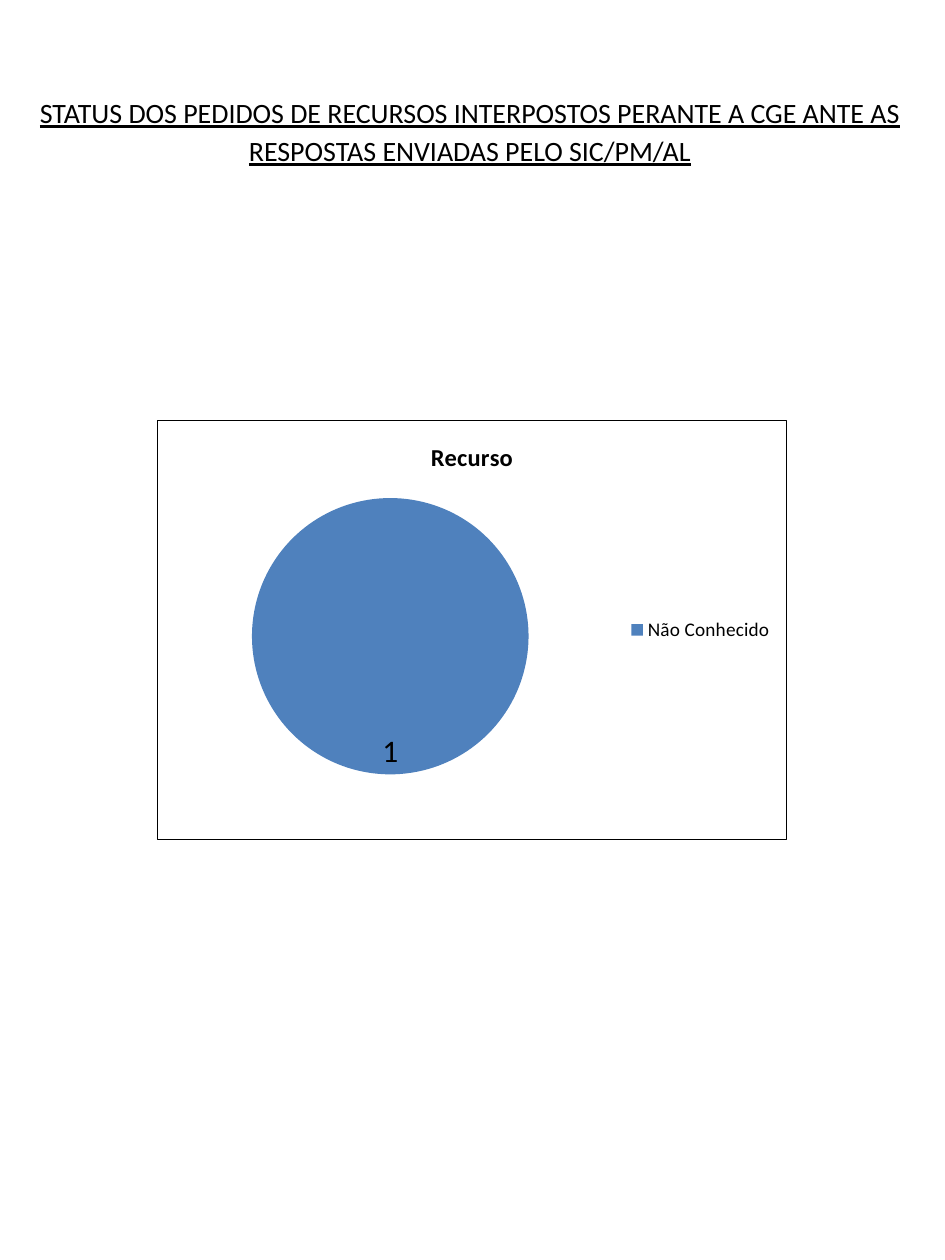
from lxml import etree
from pptx import Presentation
from pptx.chart.data import CategoryChartData
from pptx.dml.color import RGBColor
from pptx.enum.chart import XL_CHART_TYPE, XL_LEGEND_POSITION
from pptx.enum.text import MSO_ANCHOR, MSO_AUTO_SIZE, PP_ALIGN
from pptx.oxml import parse_xml
from pptx.oxml.ns import nsdecls, qn
from pptx.util import Pt

PIE = XL_CHART_TYPE.PIE
RIGHT = XL_LEGEND_POSITION.RIGHT
TOP = MSO_ANCHOR.TOP
GROW = MSO_AUTO_SIZE.SHAPE_TO_FIT_TEXT
CENTER = PP_ALIGN.CENTER

EMU_PER_PX = 914400 // 126
COLORS = {"text": "000000", "border": "000000", "slice": "4F81BD"}
FONT = "Calibri"


def px(value):
    return round(value * EMU_PER_PX)


def style(font, size, bold=False):
    font.name = FONT
    font.size = Pt(size)
    font.bold = bold
    font.color.rgb = RGBColor.from_string(COLORS["text"])


def add_heading(slide, left, top, width, height):
    heading = slide.shapes.title
    heading.left, heading.top = px(left), px(top)
    heading.width, heading.height = px(width), px(height)
    frame = heading.text_frame
    frame.text = ("STATUS DOS PEDIDOS DE RECURSOS INTERPOSTOS PERANTE A CGE ANTE AS "
                  "RESPOSTAS ENVIADAS PELO SIC/PM/AL")
    frame.word_wrap = True
    frame.auto_size = GROW
    frame.vertical_anchor = TOP
    paragraph = frame.paragraphs[0]
    paragraph.alignment = CENTER
    paragraph.line_spacing = 1.15
    paragraph.space_before = Pt(0)
    paragraph.space_after = Pt(10)
    style(paragraph.font, 16)
    paragraph.font.underline = True


def add_border(chart):
    border = parse_xml(
        f'<c:spPr {nsdecls("c", "a")}><a:noFill/><a:ln w="{Pt(0.75)}"><a:solidFill>'
        f'<a:srgbClr val="{COLORS["border"]}"/></a:solidFill></a:ln></c:spPr>')
    chart.element.find(qn("c:chart")).addnext(border)


def place_pie(chart, **fractions):
    plot_area = chart.element.find(qn("c:chart")).find(qn("c:plotArea"))
    layout = plot_area.find(qn("c:layout"))
    if layout is None:
        layout = parse_xml(f'<c:layout {nsdecls("c")}/>')
        plot_area.insert(0, layout)
    manual = etree.SubElement(layout, qn("c:manualLayout"))
    settings = {"layoutTarget": "inner", "xMode": "edge", "yMode": "edge", **fractions}
    for tag, value in settings.items():
        etree.SubElement(manual, qn(f"c:{tag}")).set("val", str(value))


def add_appeals_chart(slide, left, top, width, height):
    appeals = CategoryChartData()
    appeals.categories = ["Não Conhecido"]
    appeals.add_series("Recurso", [1])
    chart = slide.shapes.add_chart(
        PIE, px(left), px(top), px(width), px(height), appeals).chart
    style(chart.font, 18)

    chart.has_title = True
    caption = chart.chart_title.text_frame
    caption.text = "Recurso"
    style(caption.paragraphs[0].font, 14, bold=True)

    chart.has_legend = True
    chart.legend.position = RIGHT
    chart.legend.include_in_layout = False
    style(chart.legend.font, 11)

    plot = chart.plots[0]
    plot.vary_by_categories = True
    plot.has_data_labels = True
    plot.data_labels.show_value = True
    plot.data_labels.show_percentage = False
    style(plot.data_labels.font, 18)
    fill = plot.series[0].points[0].format.fill
    fill.solid()
    fill.fore_color.rgb = RGBColor.from_string(COLORS["slice"])

    place_pie(chart, x=0.15, y=0.18, w=0.44, h=0.67)
    add_border(chart)


def main():
    deck = Presentation()
    deck.slide_width, deck.slide_height = px(945), px(1260)
    slide = deck.slides.add_slide(deck.slide_layouts[5])
    add_heading(slide, 16, 84, 908, 91)
    add_appeals_chart(slide, 157, 420, 630, 420)
    deck.save("out.pptx")


if __name__ == "__main__":
    main()
